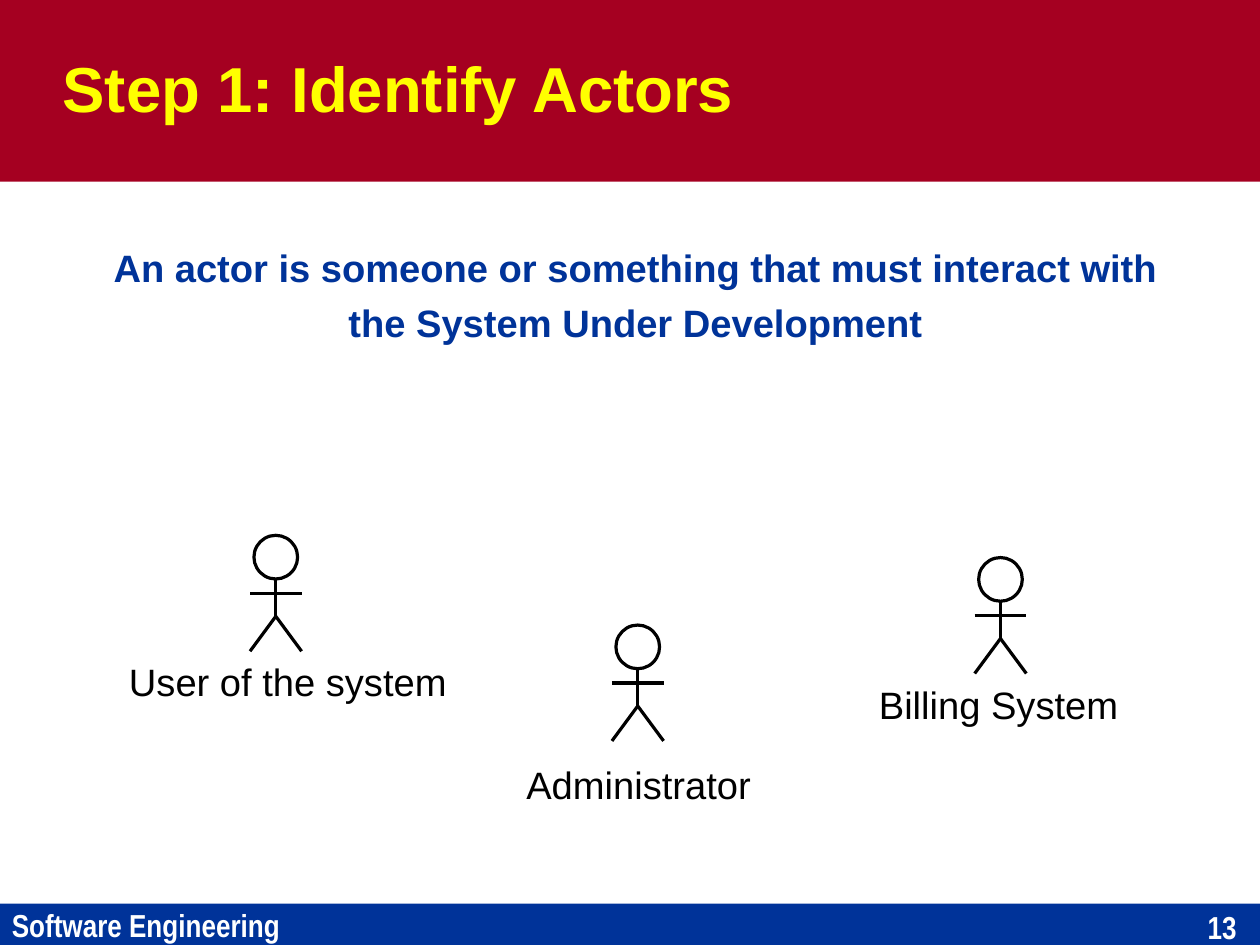
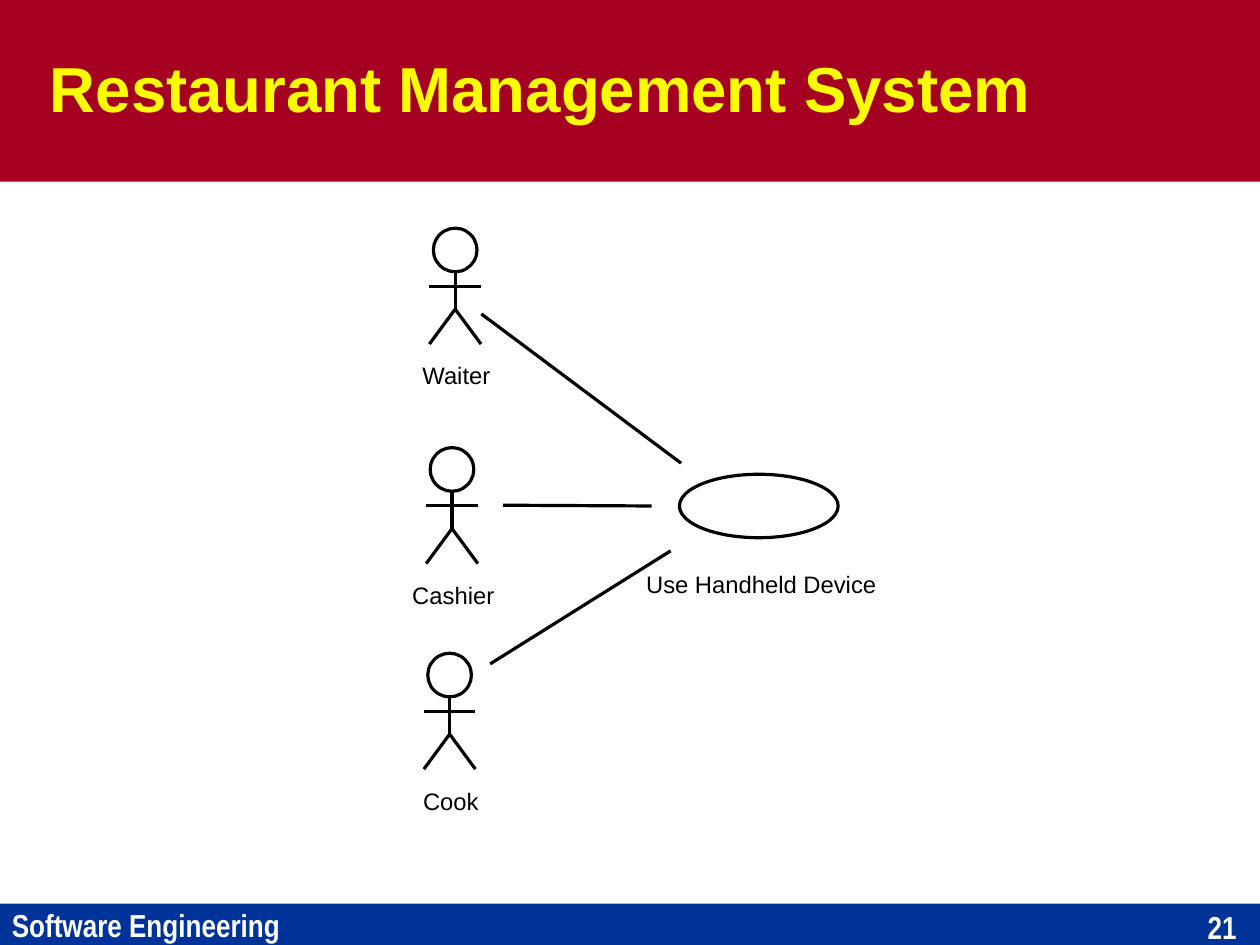
from lxml import etree
from pptx import Presentation
from pptx.dml.color import RGBColor
from pptx.enum.shapes import MSO_CONNECTOR, MSO_SHAPE
from pptx.enum.text import MSO_ANCHOR, MSO_AUTO_SIZE, PP_ALIGN
from pptx.oxml.ns import qn
from pptx.util import Pt

OVAL, RECTANGLE = MSO_SHAPE.OVAL, MSO_SHAPE.RECTANGLE
STRAIGHT = MSO_CONNECTOR.STRAIGHT
LEFT, CENTER, RIGHT = PP_ALIGN.LEFT, PP_ALIGN.CENTER, PP_ALIGN.RIGHT
TOP, MIDDLE = MSO_ANCHOR.TOP, MSO_ANCHOR.MIDDLE
GROW = MSO_AUTO_SIZE.SHAPE_TO_FIT_TEXT

WIDTH, HEIGHT = 793.7, 595.28
RED, BLUE, YELLOW = "A50021", "003399", "FFFF00"
WHITE, BLACK = "FFFFFF", "000000"
BODY_FONT, FOOTER_FONT = "Arial", "Arial Narrow"
STROKE = 2


def color(value):
    return RGBColor.from_string(value)


class SlideBuilder:
    """Holds the deck style and the slide being drawn."""

    def __init__(self, deck):
        self.deck = deck
        self.page = None

    def start(self, title, title_left, title_width, number):
        """Add a page with its bands, title and footer."""
        self.page = self.deck.slides.add_slide(self.deck.slide_layouts[6])
        self.band(569.25, HEIGHT - 569.25, BLUE)
        self.text("Software Engineering", 0, 566.5, 185, 32, 20, WHITE,
                  font=FOOTER_FONT, bold=True, insets=(7.5, 4), wrap=False)
        self.band(0, 114.5, RED)
        self.text(number, 734.5, 570.75, 52.5, 26.5, 20, WHITE,
                  font=FOOTER_FONT, bold=True, align=RIGHT,
                  insets=(8, 0.75), before=12.5)
        self.text(title, title_left, 15, title_width, 79.5, 40, YELLOW,
                  bold=True, anchor=MIDDLE)

    def band(self, top, height, fill):
        band = self.page.shapes.add_shape(
            RECTANGLE, 0, Pt(top), Pt(WIDTH), Pt(height))
        band.shadow.inherit = False
        band.fill.solid()
        band.fill.fore_color.rgb = color(fill)
        band.line.fill.background()

    def text(self, words, left, top, width, height, size, ink, font=BODY_FONT,
             bold=False, align=LEFT, anchor=TOP, insets=(0, 0), wrap=True,
             before=0, spacing=1.0):
        box = self.page.shapes.add_textbox(
            Pt(left), Pt(top), Pt(width), Pt(height))
        frame = box.text_frame
        frame.word_wrap = wrap
        if not wrap:
            frame.auto_size = GROW
        frame.vertical_anchor = anchor
        frame.margin_left = frame.margin_right = Pt(insets[0])
        frame.margin_top = frame.margin_bottom = Pt(insets[1])
        para = frame.paragraphs[0]
        para.alignment = align
        para.space_before = Pt(before)
        para.line_spacing = spacing
        span = para.add_run()
        span.text = words
        span.font.name = font
        span.font.size = Pt(size)
        span.font.bold = bold
        span.font.color.rgb = color(ink)

    def label(self, words, center, top, width, size):
        height = size * 1.2 + 8
        self.text(words, center - width / 2, top, width, height, size, BLACK,
                  align=CENTER, anchor=MIDDLE, insets=(7.5, 4), wrap=False)

    def oval(self, left, top, width, height, shapes=None):
        shapes = shapes or self.page.shapes
        oval = shapes.add_shape(OVAL, Pt(left), Pt(top), Pt(width), Pt(height))
        oval.shadow.inherit = False
        oval.fill.background()
        oval.line.color.rgb = color(BLACK)
        oval.line.width = Pt(STROKE)

    def line(self, x1, y1, x2, y2, shapes=None):
        shapes = shapes or self.page.shapes
        line = shapes.add_connector(STRAIGHT, Pt(x1), Pt(y1), Pt(x2), Pt(y2))
        line.line.color.rgb = color(BLACK)
        line.line.width = Pt(STROKE)
        properties = line._element.find(qn("p:spPr"))
        etree.SubElement(properties, qn("a:effectLst"))

    def actor(self, center, top):
        """Draw a grouped stick figure hanging from the top of its head."""
        figure = self.page.shapes.add_group_shape().shapes
        head, reach = 27.5, 16.25
        arms, hips, feet = top + 36.5, top + 51, top + 73
        self.oval(center - head / 2, top, head, head, figure)
        self.line(center, top + 28, center, hips, figure)
        self.line(center - reach, arms, center + reach, arms, figure)
        for side in (-reach, reach):
            self.line(center, hips, center + side, feet, figure)


def identify_actors(builder):
    builder.start("Step 1: Identify Actors", 39.5, 453.5, "13")
    builder.text("An actor is someone or something that must interact with "
                 "the System Under Development", 59.75, 144.75, 681, 107.25,
                 24, BLUE, bold=True, align=CENTER, insets=(7.2, 3.6),
                 before=16.5, spacing=1.2)
    actors = [
        ("User of the system", 173.75, 337.25, 181.25, 411, 218),
        ("Administrator", 401.75, 393.75, 402.25, 475.75, 159),
        ("Billing System", 630.25, 351.25, 629, 425.25, 168),
    ]
    for name, center, top, label_center, label_top, label_width in actors:
        builder.actor(center, top)
        builder.label(name, label_center, label_top, label_width, 24)


def restaurant_system(builder):
    builder.start("Restaurant Management System", 31.5, 734.5, "21")
    actors = [
        ("Waiter", 286.75, 143.75, 59),
        ("Cashier", 284.75, 282, 68),
        ("Cook", 283.25, 411.5, 51),
    ]
    for name, center, top, label_width in actors:
        builder.actor(center, top)
        builder.label(name, center + 0.75, top + 79.75, label_width, 15)
    builder.oval(428, 298.75, 100, 40)
    builder.label("Use Handheld Device", 479.5, 355, 162, 15)
    links = [
        (303.25, 197.75, 429, 291.75),
        (317, 318.25, 410.5, 318.75),
        (308.75, 418.25, 422.5, 347),
    ]
    for link in links:
        builder.line(*link)


def main():
    deck = Presentation()
    deck.slide_width, deck.slide_height = Pt(WIDTH), Pt(HEIGHT)
    builder = SlideBuilder(deck)
    identify_actors(builder)
    restaurant_system(builder)
    deck.save("out.pptx")


if __name__ == "__main__":
    main()
